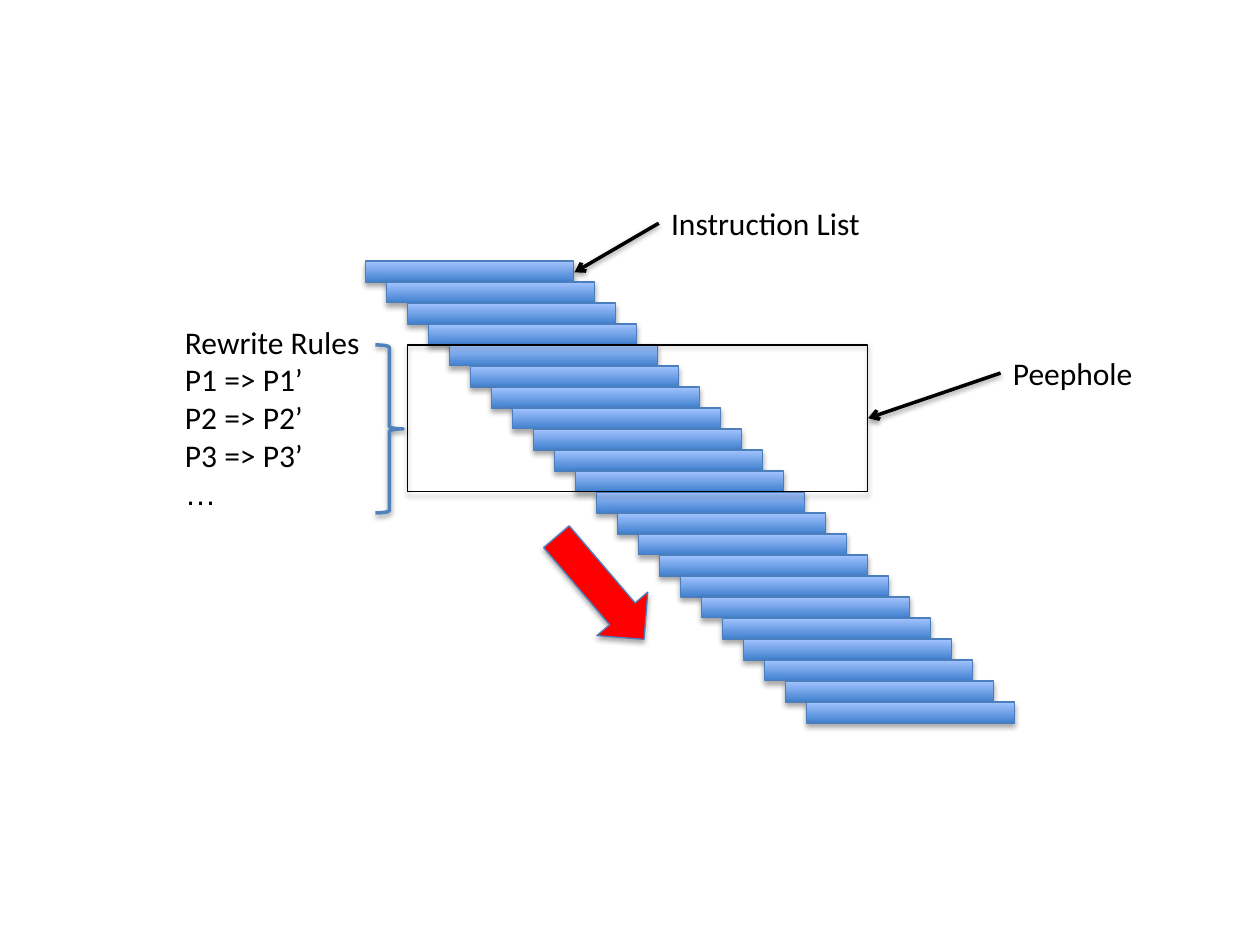
from lxml.etree import SubElement
from pptx import Presentation
from pptx.dml.color import RGBColor
from pptx.enum.shapes import MSO_CONNECTOR, MSO_SHAPE
from pptx.enum.text import MSO_AUTO_SIZE
from pptx.oxml.ns import qn
from pptx.util import Cm, Pt

BLACK = RGBColor(0x00, 0x00, 0x00)
RED = RGBColor(0xFF, 0x00, 0x00)
BAR_DARK = RGBColor(0x3F, 0x80, 0xCE)
BAR_LIGHT = RGBColor(0xA4, 0xC4, 0xFF)
OUTLINE = RGBColor(0x4B, 0x7E, 0xBC)
BRACE_BLUE = RGBColor(0x4F, 0x81, 0xBD)

INSTRUCTIONS = 22
STEP = 1.27 / 3
LIST_LEFT, LIST_TOP = 7.37, 5.26
BAR_WIDTH = 4.19
WINDOW_START, WINDOW_ROWS = 4, 7
WINDOW_TOP = LIST_TOP + WINDOW_START * STEP


def add_shadow(element, alpha=35, distance=1.8):
    effects = SubElement(element._element.spPr, qn("a:effectLst"))
    shadow = SubElement(effects, qn("a:outerShdw"), blurRad=str(Pt(3.1)),
                        dist=str(Pt(distance)), dir="5400000", rotWithShape="0")
    color = SubElement(shadow, qn("a:srgbClr"), val="000000")
    SubElement(color, qn("a:alpha"), val=str(alpha * 1000))


def add_outlined(slide, preset, left, top, width, height, color, weight=0.75):
    outlined = slide.shapes.add_shape(preset, Cm(left), Cm(top), Cm(width), Cm(height))
    outlined.fill.background()
    outlined.line.color.rgb = color
    outlined.line.width = Pt(weight)
    return outlined


def add_instruction(slide, index):
    offset = index * STEP
    bar = add_outlined(slide, MSO_SHAPE.RECTANGLE, LIST_LEFT + offset,
                       LIST_TOP + offset, BAR_WIDTH, STEP, OUTLINE)
    bar.fill.gradient()
    bar.fill.gradient_angle = 90
    for stop, color, position in zip(bar.fill.gradient_stops, (BAR_DARK, BAR_LIGHT), (0, 1)):
        stop.color.rgb = color
        stop.position = position
    add_shadow(bar)


def add_peephole(slide):
    peephole = add_outlined(slide, MSO_SHAPE.RECTANGLE, LIST_LEFT + 2 * STEP,
                            WINDOW_TOP, 9.27, WINDOW_ROWS * STEP, BLACK)
    add_shadow(peephole)


def add_direction(slide):
    direction = add_outlined(slide, MSO_SHAPE.RIGHT_ARROW, 10.74, 11.18, 2.72, 1.35, OUTLINE)
    direction.fill.solid()
    direction.fill.fore_color.rgb = RED
    direction.rotation = 49.5
    add_shadow(direction)


def add_rules_brace(slide):
    brace = add_outlined(slide, MSO_SHAPE.RIGHT_BRACE, 7.57, WINDOW_TOP, 0.56,
                         (WINDOW_ROWS + 1) * STEP, BRACE_BLUE, 2)
    add_shadow(brace, 38, 1.6)


def add_label(slide, left, top, width, height, lines):
    label = slide.shapes.add_textbox(Cm(left), Cm(top), Cm(width), Cm(height))
    frame = label.text_frame
    frame.word_wrap = False
    frame.auto_size = MSO_AUTO_SIZE.SHAPE_TO_FIT_TEXT
    for number, (text, font_name) in enumerate(lines):
        paragraph = frame.add_paragraph() if number else frame.paragraphs[0]
        run = paragraph.add_run()
        run.text = text
        run.font.name = font_name
        run.font.size = Pt(18)
        run.font.color.rgb = BLACK


def add_pointer(slide, *ends):
    pointer = slide.shapes.add_connector(MSO_CONNECTOR.STRAIGHT, *map(Cm, ends))
    pointer.line.color.rgb = BLACK
    pointer.line.width = Pt(2)
    SubElement(pointer._element.spPr.find(qn("a:ln")), qn("a:tailEnd"), type="arrow")
    add_shadow(pointer, 38, 1.6)


def main():
    deck = Presentation()
    deck.slide_width, deck.slide_height = Cm(25.4), Cm(19.05)
    slide = deck.slides.add_slide(deck.slide_layouts[6])

    for index in range(INSTRUCTIONS):
        add_instruction(slide, index)
    add_peephole(slide)
    add_direction(slide)

    add_label(slide, 13.28, 3.99, 4.37, 1.02, [("Instruction List", "Calibri")])
    add_pointer(slide, 13.28, 4.5, 11.58, 5.49)
    add_label(slide, 20.17, 7.01, 2.97, 1.02, [("Peephole", "Calibri")])
    add_pointer(slide, 20.17, 7.52, 17.5, 8.43)

    rules = ["Rewrite Rules", "P1 => P1’", "P2 => P2’", "P3 => P3’"]
    add_label(slide, 3.48, 6.38, 4.09, 4.11,
              [(rule, "Calibri") for rule in rules] + [("…", "Arial")])
    add_rules_brace(slide)

    deck.save("out.pptx")


if __name__ == "__main__":
    main()
